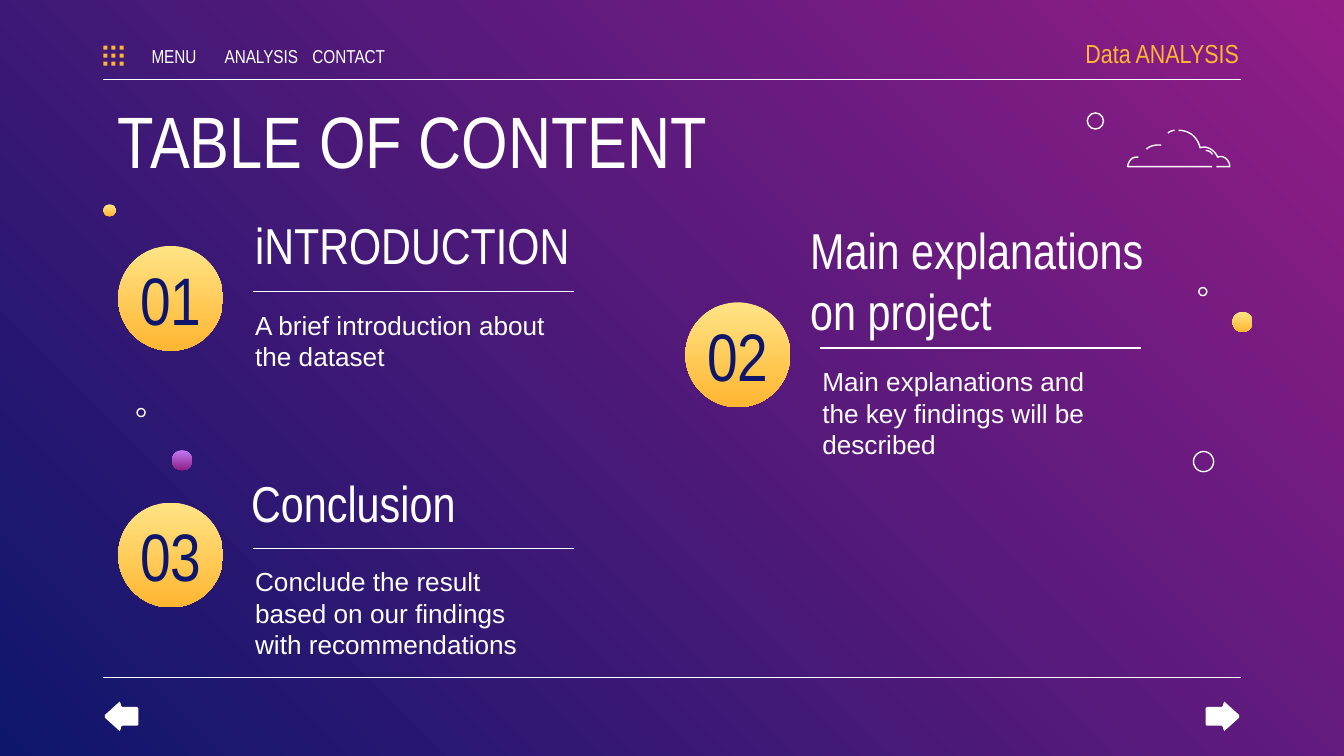
from pptx import Presentation
from pptx.dml.color import RGBColor
from pptx.enum.shapes import MSO_CONNECTOR as Connector, MSO_SHAPE as Shape
from pptx.enum.text import MSO_ANCHOR as Anchor, PP_ALIGN as Align
from pptx.oxml.ns import qn
from pptx.util import Inches, Pt
from lxml import etree

THEME = {
    "white": "FFFFFF", "navy": "0E166C", "amber": "FFB632",
    "background": ("921D87", "0E166C"),
    "gold": ("FFE485", "FFB632"), "violet": ("BE7AF3", "921D87"),
    "display": "Arial Narrow", "body": "Arial",
    "title": 39, "number": 36, "heading": 27, "text": 14, "menu": 10,
    "stroke": 0.75,
}

TITLE = "TABLE OF CONTENT"
BRAND = "Data ANALYSIS"
MENU = ["MENU", "ANALYSIS", "CONTACT"]

# number, heading, description, disc corner, heading offset from that corner
SECTIONS = [
    ("01", "iNTRODUCTION", "A brief introduction about the dataset",
     (0.88, 1.83), (0.92, -0.34)),
    ("02", "Main explanations on project",
     "Main explanations and the key findings will be described",
     (5.10, 2.25), (0.83, -0.72)),
    ("03", "Conclusion",
     "Conclude the result based on our findings with recommendations",
     (0.88, 3.74), (0.89, -0.33)),
]

# left, top, diameter, gradient (None means outline only)
BUBBLES = [
    (9.17, 2.32, 0.15, "gold"), (0.77, 1.52, 0.09, "gold"),
    (1.28, 3.35, 0.15, "violet"),
    (8.09, 0.84, 0.12, None), (8.88, 3.36, 0.15, None),
    (8.92, 2.14, 0.06, None), (1.02, 3.04, 0.06, None),
]

# Each path is a start point, then steps: one point is a line, three a curve
CLOUD = [
    [(8.77, 0.97), [(8.85, 0.97), (8.91, 1.02), (8.93, 1.10)],
     [(8.98, 1.08), (9.04, 1.12), (9.06, 1.17)],
     [(9.10, 1.15), (9.15, 1.19), (9.15, 1.24)], [(9.05, 1.24)]],
    [(8.74, 0.97), [(8.74, 0.97), (8.71, 0.97), (8.69, 0.99)]],
    [(9.02, 1.24), [(8.39, 1.24)], [(8.39, 1.24), (8.40, 1.16), (8.47, 1.17)]],
    [(8.97, 1.12), [(8.97, 1.12), (9.01, 1.12), (9.02, 1.15)]],
    [(8.64, 1.08), [(8.64, 1.08), (8.57, 1.07), (8.53, 1.11)]],
]
# Upper half of the right arrow, from tip to tail
ARROW_HALF = [
    (9.22, 5.33), (9.22, 5.32), (9.12, 5.23), (9.11, 5.22), (9.10, 5.24),
    (9.10, 5.25), (9.09, 5.26), (8.98, 5.26), (8.97, 5.27),
]
ARROW_AXIS = 5.33
WIDTH = 10
HEIGHT = WIDTH * 9 / 16
LEFT, RIGHT = 0.77, 9.23
DISC = 0.78


def color(name):
    return RGBColor.from_string(THEME[name])


def set_gradient(fill, name, angle):
    fill.gradient()
    fill.gradient_angle = angle
    for stop, value in zip(fill.gradient_stops, THEME[name]):
        stop.color.rgb = RGBColor.from_string(value)


def paint(shape, solid=None, gradient=None):
    """Fill the shape, or give it a white outline when no fill is named."""
    shape.shadow.inherit = False
    if solid:
        shape.fill.solid()
        shape.fill.fore_color.rgb = color(solid)
    elif gradient:
        set_gradient(shape.fill, gradient, 270)
    else:
        shape.fill.background()
        shape.line.color.rgb = color("white")
        shape.line.width = Pt(THEME["stroke"])
        return
    shape.line.fill.background()


def add_preset(page, kind, left, top, size, **style):
    shape = page.shapes.add_shape(kind, *map(Inches, (left, top, size, size)))
    paint(shape, **style)


def add_rule(page, left, right, y):
    rule = page.shapes.add_connector(
        Connector.STRAIGHT, *map(Inches, (left, y, right, y)))
    rule.line.color.rgb = color("white")
    rule.line.width = Pt(THEME["stroke"])
    etree.SubElement(rule._element.spPr, qn("a:effectLst"))


def add_text(page, text, frame, size, font="display", ink="white",
             align=Align.LEFT, anchor=Anchor.TOP, insets=(0.1, 0.1)):
    box = page.shapes.add_textbox(*map(Inches, frame)).text_frame
    box.word_wrap = True
    box.vertical_anchor = anchor
    box.margin_left, box.margin_right = map(Inches, insets)
    box.margin_top = box.margin_bottom = Inches(0.1)
    para = box.paragraphs[0]
    para.alignment = align
    span = para.add_run()
    span.text = text
    span.font.name = THEME[font]
    span.font.size = Pt(THEME[size])
    span.font.color.rgb = color(ink)


def trace(start, *steps, samples=12):
    """Turn lines and cubic curves into a list of points."""
    points = [start]
    for step in steps:
        if len(step) == 1:
            points += step
            continue
        corners = [points[-1], *step]
        for i in range(1, samples + 1):
            t = i / samples
            weights = ((1 - t) ** 3, 3 * t * (1 - t) ** 2,
                       3 * t * t * (1 - t), t ** 3)
            points.append(tuple(
                sum(w * corner[axis] for w, corner in zip(weights, corners))
                for axis in (0, 1)))
    return points


def add_outline(page, points, closed=False, **style):
    start, *rest = [(Inches(x), Inches(y)) for x, y in points]
    builder = page.shapes.build_freeform(*start)
    builder.add_line_segments(rest, close=closed)
    paint(builder.convert_to_shape(), **style)


def add_section(page, number, heading, description, corner, shift):
    x, y = corner
    add_preset(page, Shape.OVAL, x, y, DISC, gradient="gold")
    add_rule(page, x + 1, x + 3.39, y + 0.34)
    add_text(page, number, (x, y + 0.2, DISC, 0.38), "number", ink="navy",
             align=Align.CENTER, anchor=Anchor.MIDDLE)
    add_text(page, heading, (x + shift[0], y + shift[1], 3.03, 0.48), "heading")
    add_text(page, description, (x + 0.92, y + 0.37, 2.44, 0.62), "text",
             font="body")


def add_header(page):
    for column in range(3):
        for row in range(3):
            add_preset(page, Shape.RECTANGLE, LEFT + 0.06 * column,
                       0.34 + 0.06 * row, 0.03, solid="amber")
    for i, label in enumerate(MENU):
        add_text(page, label, (1.01 + 0.65 * i, 0.3, 0.57, 0.23), "menu",
                 align=Align.CENTER, anchor=Anchor.MIDDLE, insets=(0, 0))
    add_text(page, BRAND, (7.72, 0.23, 1.5, 0.33), "text", ink="amber",
             align=Align.RIGHT, anchor=Anchor.MIDDLE, insets=(0.1, 0))
    add_text(page, TITLE, (0.78, 0.61, 8.44, 0.66), "title")


def main():
    deck = Presentation()
    deck.slide_width, deck.slide_height = Inches(WIDTH), Inches(HEIGHT)
    page = deck.slides.add_slide(deck.slide_layouts[6])
    set_gradient(page.background.fill, "background", 225)

    for y in (0.59, 5.04):
        add_rule(page, LEFT, RIGHT, y)
    add_header(page)
    for section in SECTIONS:
        add_section(page, *section)

    arrow = ARROW_HALF + [(x, 2 * ARROW_AXIS - y) for x, y in ARROW_HALF[::-1]]
    add_outline(page, arrow, closed=True, solid="white")
    add_outline(page, [(WIDTH - x, y) for x, y in arrow], closed=True,
                solid="white")
    for path in CLOUD:
        add_outline(page, trace(*path))
    for left, top, size, gradient in BUBBLES:
        add_preset(page, Shape.OVAL, left, top, size, gradient=gradient)
    deck.save("out.pptx")


if __name__ == "__main__":
    main()
